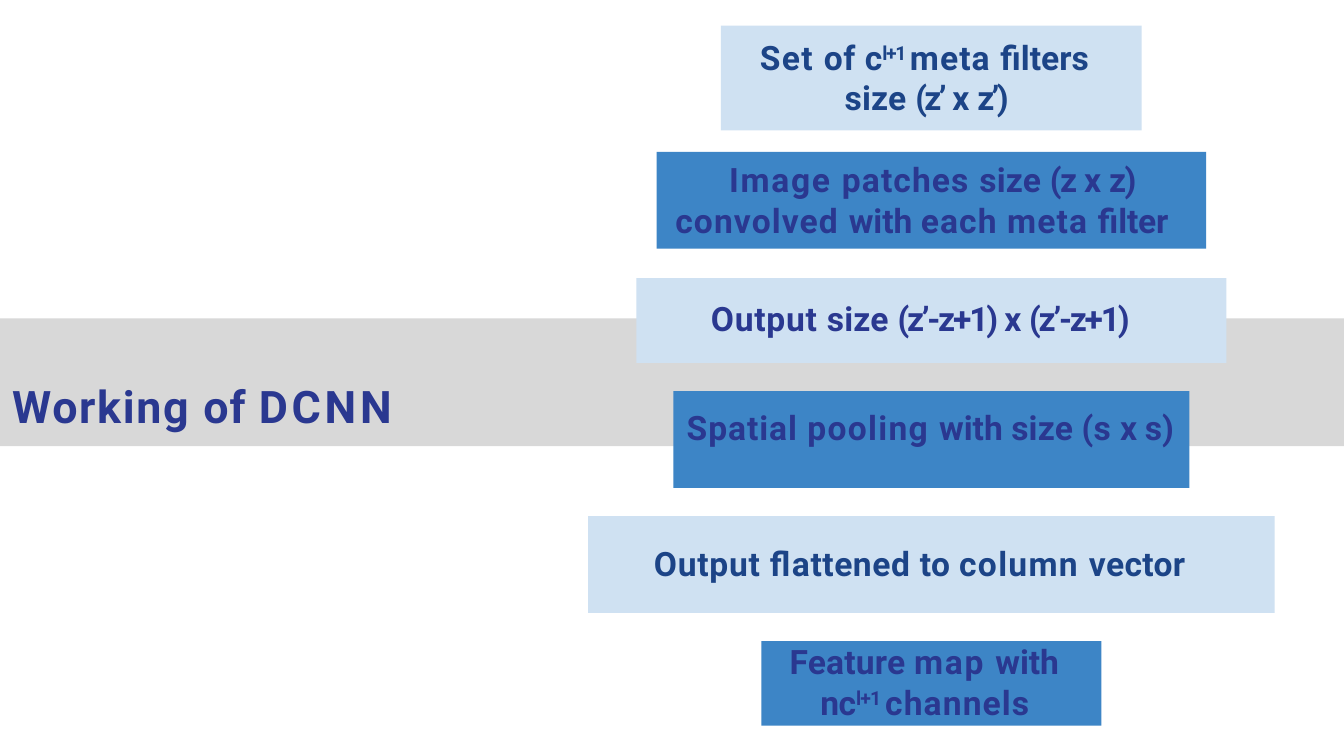
import pptx
import pptx.dml.color
import pptx.enum.shapes
import pptx.enum.text
import pptx.util
from pptx.util import Inches, Pt

COLORS = {"band": "D8D8D8", "pale": "CFE1F2", "blue": "3D85C6",
          "navy": "1C4487", "indigo": "2A3890"}
MID = 6.93  # shared centre line of the flow boxes


def color(name):
    return pptx.dml.color.RGBColor.from_string(COLORS[name])


def add_rect(slide, left, top, width, height, fill):
    kind = pptx.enum.shapes.MSO_SHAPE.RECTANGLE
    rect = slide.shapes.add_shape(
        kind, Inches(left), Inches(top), Inches(width), Inches(height))
    rect.shadow.inherit = False
    rect.fill.solid()
    rect.fill.fore_color.rgb = color(fill)
    rect.line.fill.background()
    return rect


def add_step(slide, top, width, height, fill):
    """Add a flow box centred on the shared line."""
    return add_rect(slide, MID - width / 2, top, width, height, fill)


def add_label(slide, left, top, width, height):
    return slide.shapes.add_textbox(
        Inches(left), Inches(top), Inches(width), Inches(height))


def write(shape, parts, size=18, tint="indigo", inset=0.01, margin=0.01,
          indent=0, before=1, line=None):
    """Write (text, spacing in points[, raised percent]) parts as one paragraph."""
    frame = shape.text_frame
    frame.word_wrap = True
    frame.auto_size = pptx.enum.text.MSO_AUTO_SIZE.NONE
    frame.vertical_anchor = pptx.enum.text.MSO_ANCHOR.TOP
    frame.margin_left = frame.margin_right = frame.margin_bottom = 0
    frame.margin_top = Inches(inset)
    para = frame.paragraphs[0]
    para.alignment = pptx.enum.text.PP_ALIGN.LEFT
    para.space_before = Pt(before)
    if line:
        para.line_spacing = line
    props = para._p.get_or_add_pPr()
    props.set("marL", str(Inches(margin)))
    props.set("indent", str(Inches(indent)))
    for text, gap, *rise in parts:
        run = para.add_run()
        run.text = text
        run.font.name = "Roboto"
        run.font.size = Pt(size)
        run.font.bold = True
        run.font.color.rgb = color(tint)
        mark = run._r.get_or_add_rPr()
        mark.set("spc", str(round(gap * 100)))
        if rise:
            mark.set("baseline", str(rise[0] * 1000))


def main():
    # Widescreen page, 16 to 9
    deck = pptx.Presentation()
    deck.slide_width = Inches(10)
    deck.slide_height = Inches(10 * 9 / 16)
    slide = deck.slides.add_slide(deck.slide_layouts[6])

    # Grey band and heading
    add_rect(slide, 0, 2.37, 10, 0.33, "band")
    add_rect(slide, 0, 2.7, 10, 0.62, "band")
    write(add_label(slide, 0.08, 2.81, 2.85, 0.43),
          [("Working ", 0.9), ("of ", 0.5), ("DCNN", 2)], size=24)

    # Meta filters
    write(add_step(slide, 0.19, 3.13, 0.78, "pale"),
          [("Set ", 0.7), ("of ", 0.3), ("c", -0.5), ("l+1 ", -0.8, 30),
           ("meta ", 0.6), ("filters ", 0), ("size ", 0.1), ("(z’ ", -1.4),
           ("x ", -0.4), ("z’)", -1.4)],
          tint="navy", inset=0.08, margin=0.92, indent=-0.63,
          before=5.5, line=1.01)

    # Convolution
    write(add_step(slide, 1.13, 4.09, 0.72, "blue"),
          [("Image ", 0.9), ("patches ", 0.6), ("size ", 0.1), ("(z ", -0.8),
           ("x ", -0.4), ("z) ", -0.8), ("convolved ", 0.6), ("with ", 0),
           ("each meta ", 0.6), ("filter", -0.1)],
          inset=0.05, margin=0.14, indent=0.4, before=3.3, line=1.01)

    # Output size
    add_step(slide, 2.07, 4.39, 0.63, "pale")
    write(add_label(slide, 5.28, 2.21, 3.3, 0.33),
          [("Output ", 0.4), ("size ", 0.1), ("(z’-z+1) ", -1.2),
           ("x ", -0.4), ("(z’-z+1)", -1.2)])

    # Spatial pooling
    write(add_step(slide, 2.91, 3.84, 0.72, "blue"),
          [("Spatial ", 0.5), ("pooling ", 0.7), ("with ", 0),
           ("size (s ", 0.1), ("x ", -0.4), ("s)", 0.1)],
          inset=0.2, margin=0.1, before=14.3, line=Pt(15.5))

    # Flattening
    write(add_step(slide, 3.84, 5.11, 0.72, "pale"),
          [("Output ", 0.4), ("flattened ", 0.3), ("to ", 0.2),
           ("column ", 0.7), ("vector", 0.2)],
          tint="navy", inset=0.2, margin=0.49, before=14.3)

    # Feature map
    write(add_step(slide, 4.77, 2.53, 0.63, "blue"),
          [("Feature ", 0.1), ("map ", 0.9), ("with ", 0), ("nc", -0.3),
           ("l+1 ", -0.5, 30), ("channels", 0.6)],
          inset=0, margin=0.44, indent=-0.23, before=0.2, line=1.01)

    deck.save("out.pptx")


if __name__ == "__main__":
    main()
